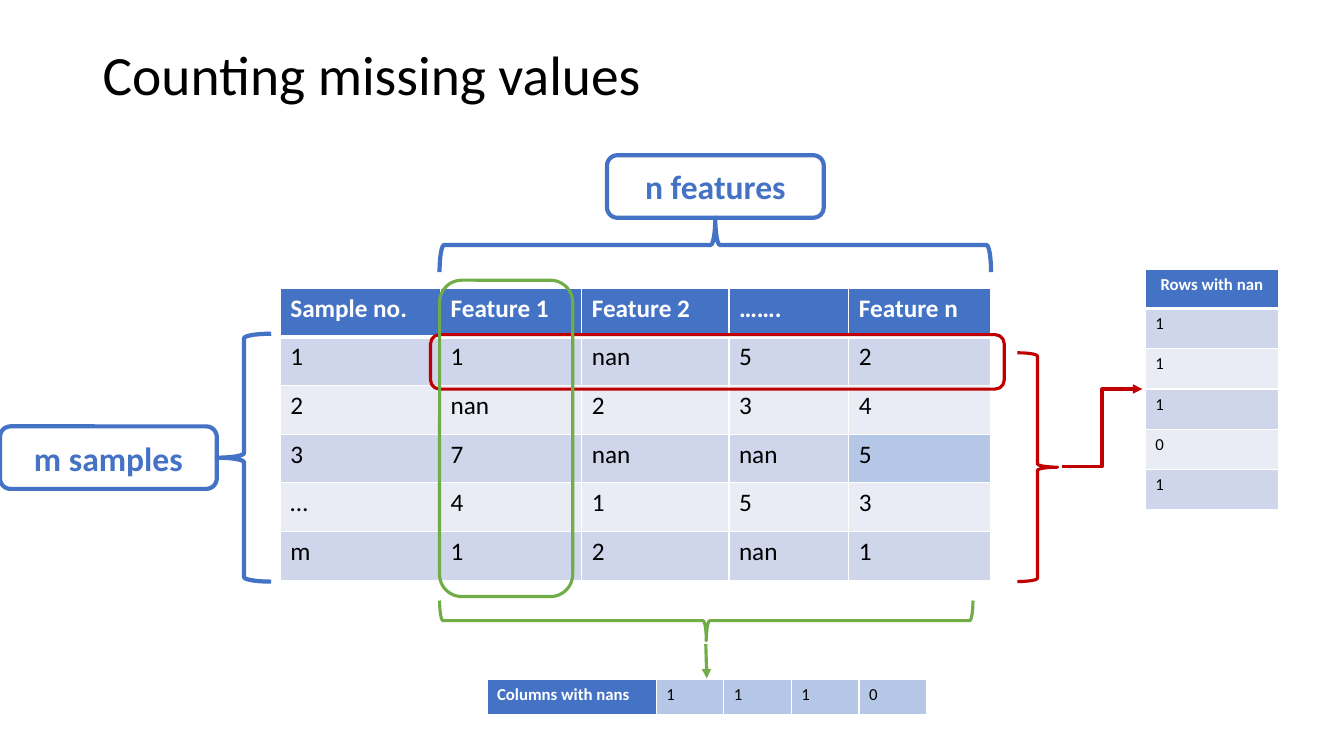
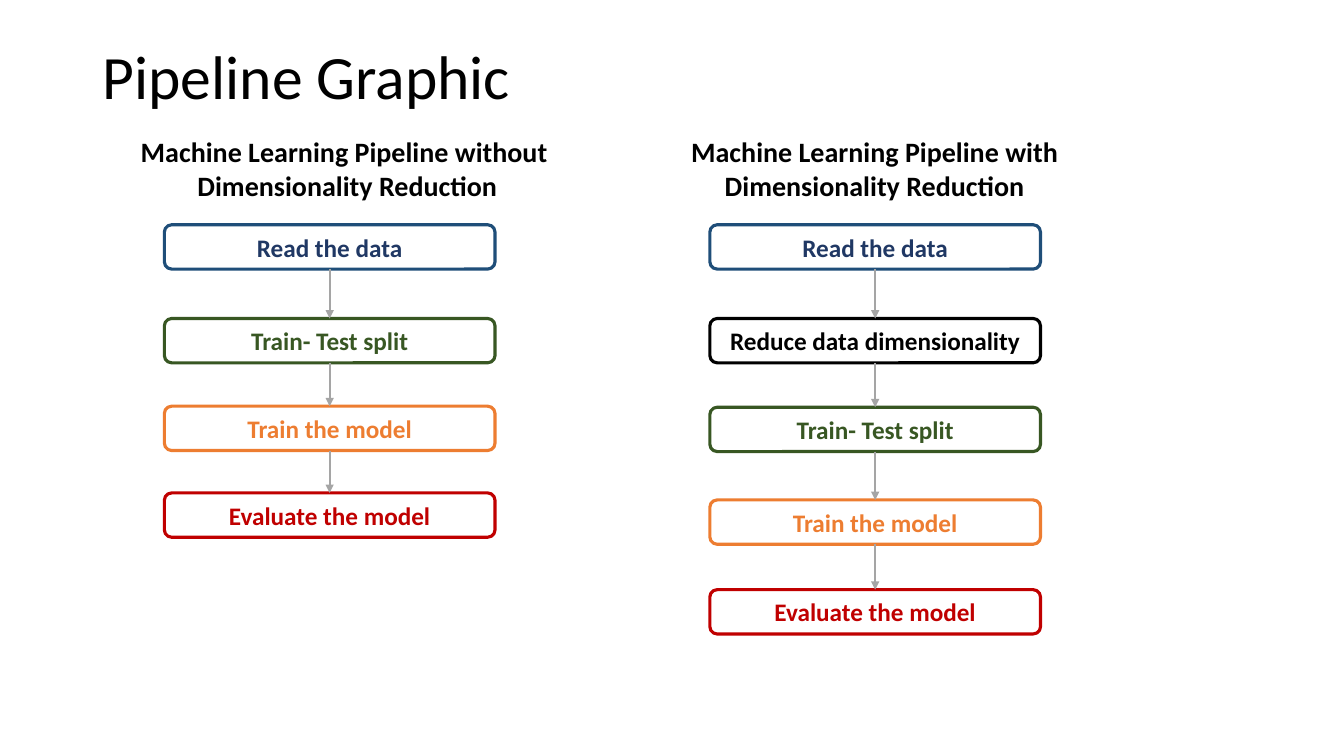
from lxml import etree
from pptx import Presentation
from pptx import util as u
from pptx.dml.color import RGBColor
from pptx.enum import shapes, text
from pptx.oxml.ns import qn

FONT = "Calibri"
BLACK, WHITE, BLUE, NAVY, TEXT_NAVY = "000000", "FFFFFF", "4472C4", "1F4E79", "203864"
RED, GREEN, DARK_GREEN, ORANGE, GRAY = "C00000", "70AD47", "385723", "ED7D31", "A5A5A5"
BAND_DARK, BAND_LIGHT, PALE_BLUE = "CFD5EA", "E9EBF5", "B4C7E7"

READ = ("Read the data", NAVY, TEXT_NAVY)
REDUCE = ("Reduce data dimensionality", BLACK, BLACK)
SPLIT = ("Train- Test split", DARK_GREEN, DARK_GREEN)
TRAIN = ("Train the model", ORANGE, ORANGE)
EVALUATE = ("Evaluate the model", RED, RED)


def color(value):
    return RGBColor.from_string(value)


def inches(*values):
    return [u.Inches(value) for value in values]


# Text
def write(paragraph, words, size, hex_color, bold=False, align=None):
    paragraph.alignment = align
    for index, line in enumerate(words.split("\n")):
        if index:
            paragraph.add_line_break()
        run = paragraph.add_run()
        run.text = line
        run.font.name, run.font.size, run.font.bold = FONT, u.Pt(size), bold
        run.font.color.rgb = color(hex_color)


def add_text(slide, box, words, size, bold=False, align=None):
    frame = slide.shapes.add_textbox(*inches(*box)).text_frame
    frame.word_wrap = True
    write(frame.paragraphs[0], words, size, BLACK, bold, align)
    return frame


def add_title(slide, box, words, size):
    frame = add_text(slide, box, words, size)
    frame.vertical_anchor = text.MSO_ANCHOR.MIDDLE
    frame.paragraphs[0].line_spacing = 0.9


# Outlined shapes and lines
def add_outline(slide, kind, box, line, width=2.25, fill=None):
    shape = slide.shapes.add_shape(kind, *inches(*box))
    shape.shadow.inherit = False
    if fill:
        shape.fill.solid()
        shape.fill.fore_color.rgb = color(fill)
    else:
        shape.fill.background()
    shape.line.color.rgb = color(line)
    shape.line.width = u.Pt(width)
    return shape


def add_frame(slide, box, line):
    return add_outline(slide, shapes.MSO_SHAPE.ROUNDED_RECTANGLE, box, line)


def add_label(slide, box, words, size, line, ink, width=2.25):
    shape = add_outline(slide, shapes.MSO_SHAPE.ROUNDED_RECTANGLE, box, line, width, WHITE)
    frame = shape.text_frame
    frame.word_wrap = True
    frame.vertical_anchor = text.MSO_ANCHOR.MIDDLE
    write(frame.paragraphs[0], words, size, ink, True, text.PP_ALIGN.CENTER)


def add_brace(slide, box, rotation, line, width=2.25):
    """Draw a brace filling box; rotation turns its tip clockwise from the right."""
    left, top, wide, high = box
    if rotation % 180:
        left, top = left + (wide - high) / 2, top + (high - wide) / 2
        wide, high = high, wide
    shape = add_outline(slide, shapes.MSO_SHAPE.RIGHT_BRACE, (left, top, wide, high), line, width)
    shape.rotation = rotation


def add_arrow(slide, start, end, line, width=2.25, kind=shapes.MSO_CONNECTOR.STRAIGHT):
    arrow = slide.shapes.add_connector(kind, *inches(*start, *end))
    arrow.line.color.rgb = color(line)
    arrow.line.width = u.Pt(width)
    etree.SubElement(arrow.line._get_or_add_ln(), qn("a:tailEnd"), type="triangle")
    etree.SubElement(arrow._element.spPr, qn("a:effectLst"))


# Tables
def add_border(cell, side, width):
    properties = cell._tc.get_or_add_tcPr()
    border = etree.SubElement(properties, qn("a:ln" + side), w=str(u.Pt(width)))
    fill = etree.SubElement(border, qn("a:solidFill"))
    etree.SubElement(fill, qn("a:srgbClr"), val=WHITE)


def add_table(slide, left, top, columns, heights, rows, size, style, header_align=None):
    """style(row, column) gives the fill of a cell; blue cells are headers."""
    box = inches(left, top, sum(columns), sum(heights))
    table = slide.shapes.add_table(len(rows), len(columns), *box).table
    table.first_row = table.horz_banding = False
    for column, width in zip(table.columns, columns):
        column.width = u.Inches(width)
    for row, height in zip(table.rows, heights):
        row.height = u.Inches(height)
    for r, row in enumerate(rows):
        for c, words in enumerate(row):
            cell, fill = table.cell(r, c), style(r, c)
            header = fill == BLUE
            for side in "LRTB":
                thick = (side == "B" and r == 0) or (side == "T" and r == 1)
                add_border(cell, side, 3 if thick else 1)
            cell.fill.solid()
            cell.fill.fore_color.rgb = color(fill)
            write(cell.text_frame.paragraphs[0], words, size, WHITE if header else BLACK,
                  header, header_align if header else None)


def banded(row, column):
    if row == 0:
        return BLUE
    return BAND_DARK if row % 2 else BAND_LIGHT


def sample_style(row, column):
    return PALE_BLUE if (row, column) == (3, 4) else banded(row, column)


# Sample table with its labels, braces and highlights
def add_samples(slide, left, top):
    columns, row_height = [1.59, 1.4, 1.46, 1.19, 1.41], 0.483
    rows = [
        ["Sample no.", "Feature 1", "Feature 2", "…….", "Feature n"],
        ["1", "1", "nan", "5", "2"],
        ["2", "nan", "2", "3", "4"],
        ["3", "7", "nan", "nan", "5"],
        ["…", "4", "1", "5", "3"],
        ["m", "1", "2", "nan", "1"],
    ]
    height = row_height * len(rows)
    right, bottom = left + sum(columns), top + height
    feature_left = left + columns[0] - 0.01
    features_width = right - feature_left
    add_table(slide, left, top, columns, [row_height] * len(rows), rows, 18, sample_style)

    label_width, label_height, depth = 2.15, 0.62, 0.54
    label_left = feature_left + (features_width - label_width) / 2
    add_label(slide, (label_left, top - 1.32, label_width, label_height),
              "n features", 24, BLUE, BLUE, 3)
    add_brace(slide, (feature_left, top - 0.7, features_width, depth), 270, BLUE, 3)
    add_label(slide, (left - 2.78, top + 1.37, label_width, label_height),
              "m samples", 24, BLUE, BLUE, 3)
    add_brace(slide, (left - 0.63, top + 0.45, depth, 2.46), 180, BLUE, 3)

    add_frame(slide, (feature_left - 0.09, top + 0.46, 5.69, 0.54), RED)
    add_brace(slide, (right + 0.26, top + 0.64, 0.4, 2.27), 0, RED)
    add_brace(slide, (feature_left, bottom + 0.2, 5.29, 0.4), 90, GREEN)
    add_frame(slide, (feature_left, top - 0.08, 1.32, height + 0.24), GREEN)


# Result tables with the arrows that lead to them
def add_row_counts(slide, left, top):
    rows = [["Rows with nan"], ["1"], ["1"], ["1"], ["0"], ["1"]]
    add_table(slide, left, top, [1.32], [0.39] + [0.4] * 5, rows, 12, banded,
              text.PP_ALIGN.CENTER)
    add_arrow(slide, (left - 0.83, top + 1.96), (left - 0.03, top + 1.19), RED,
              kind=shapes.MSO_CONNECTOR.ELBOW)


def add_column_counts(slide, left, top):
    add_table(slide, left, top, [1.68] + [0.67] * 4, [0.36],
              [["Columns with nans", "1", "1", "1", "0"]], 12,
              lambda row, column: PALE_BLUE if column else BLUE)
    add_arrow(slide, (left + 2.17, top - 0.35), (left + 2.18, top - 0.01), GREEN)


# Pipeline: a heading over steps joined by arrows
def add_pipeline(slide, left, top, heading, heading_shift, steps, offsets):
    width, height = 3.28, 0.44
    center = left + width / 2
    tops = [top + 0.94 + offset for offset in offsets]
    add_text(slide, (left + heading_shift, top, 4.83, 0.77), heading, 20, True,
             text.PP_ALIGN.CENTER)
    for (words, line, ink), step_top in zip(steps, tops):
        add_label(slide, (left, step_top, width, height), words, 18, line, ink)
    for upper, lower in zip(tops, tops[1:]):
        add_arrow(slide, (center, upper + height), (center, lower), GRAY, 1.5)


def build_missing_values(slide):
    add_title(slide, (0.92, 0.4, 11.5, 0.74), "Counting missing values", 39.6)
    add_row_counts(slide, 11.36, 2.67)
    add_column_counts(slide, 4.83, 6.74)
    add_samples(slide, 2.78, 2.86)


def build_pipelines(slide):
    add_title(slide, (0.92, 0.32, 11.5, 0.93), "Pipeline Graphic", 44)
    add_pipeline(slide, 1.63, 1.29,
                 "Machine Learning Pipeline without \nDimensionality Reduction", -0.6,
                 [READ, SPLIT, TRAIN, EVALUATE], [0, 0.93, 1.8, 2.66])
    add_pipeline(slide, 7.04, 1.29,
                 "Machine Learning Pipeline with\nDimensionality Reduction", -0.78,
                 [READ, REDUCE, SPLIT, TRAIN, EVALUATE], [0, 0.93, 1.81, 2.73, 3.62])


presentation = Presentation()
presentation.slide_width, presentation.slide_height = inches(13.33, 7.5)
for build in (build_missing_values, build_pipelines):
    build(presentation.slides.add_slide(presentation.slide_layouts[6]))
presentation.save("out.pptx")
